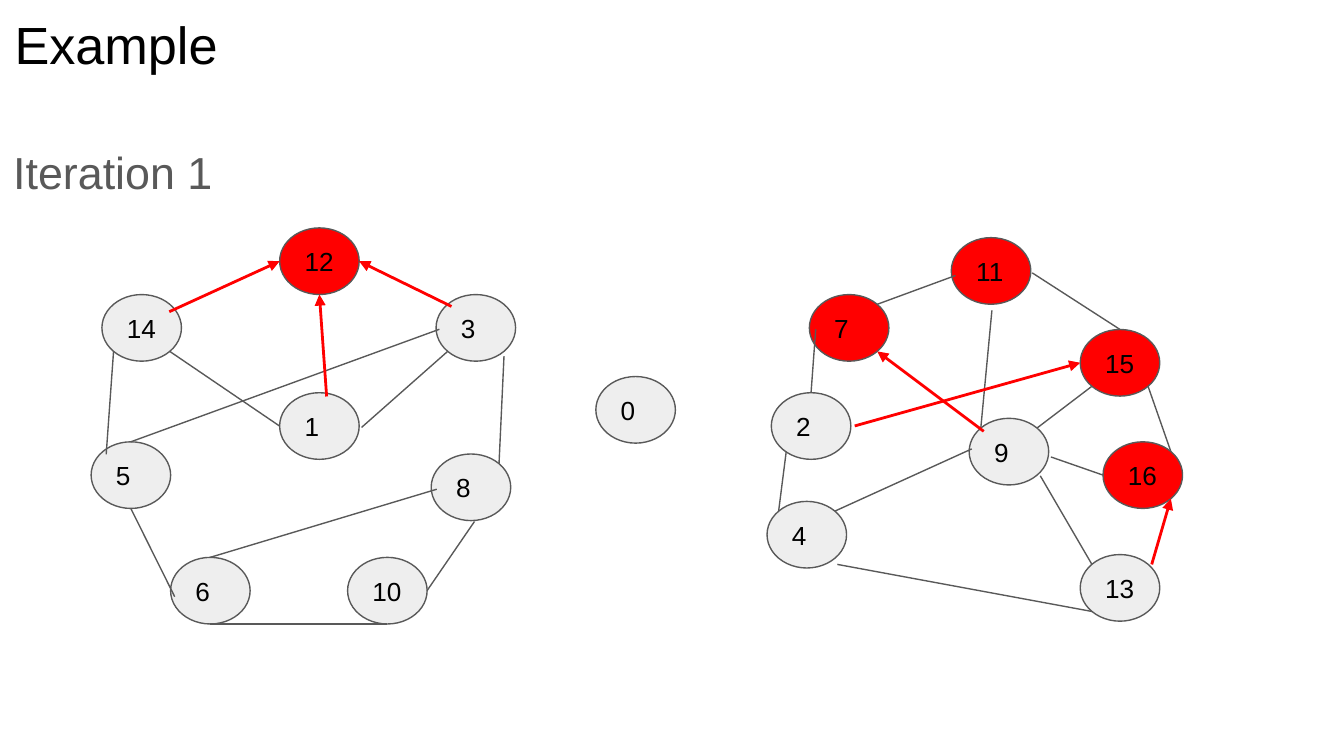
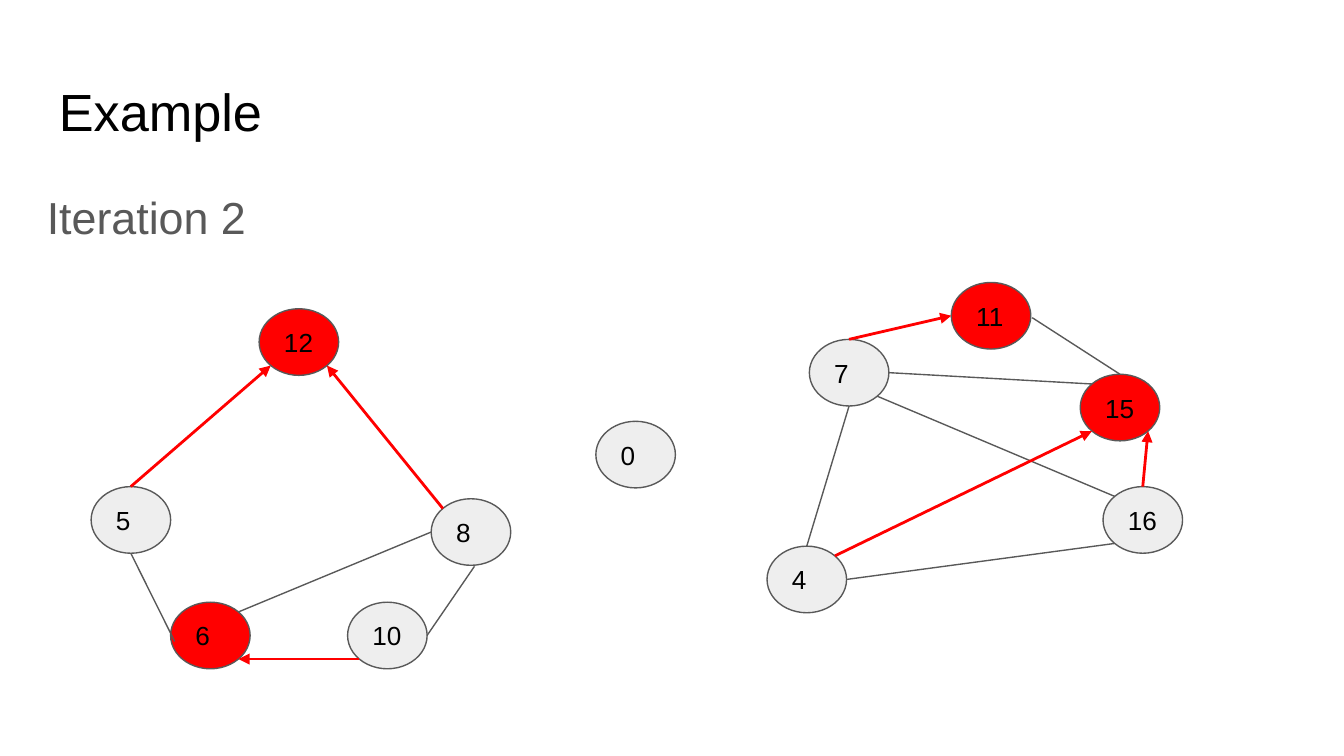
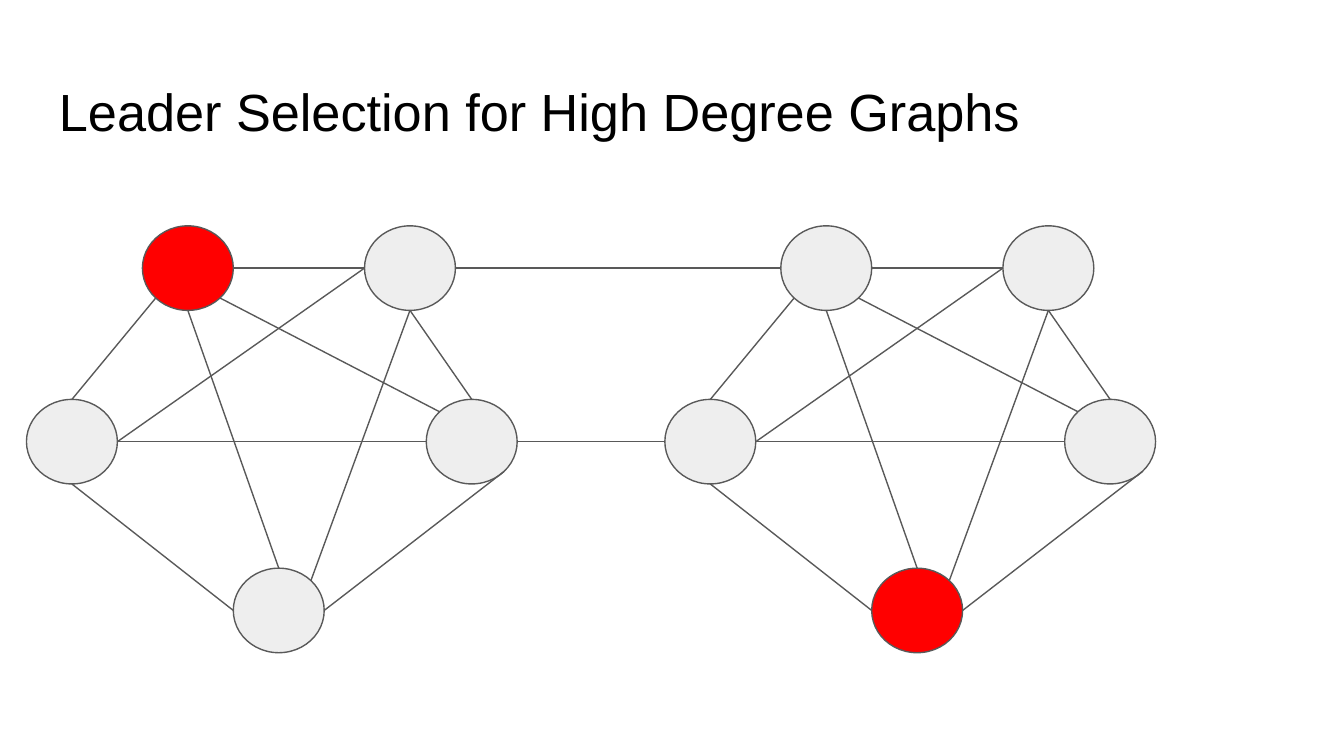
import pptx
import pptx.util
import pptx.dml.color
import pptx.enum.shapes
import pptx.enum.text
import lxml.etree
import pptx.oxml.ns

Pt = pptx.util.Pt
Color = pptx.dml.color.RGBColor
BLACK = Color(0x00, 0x00, 0x00)
GREY = Color(0x59, 0x59, 0x59)
PALE = Color(0xEE, 0xEE, 0xEE)
RED = Color(0xFF, 0x00, 0x00)

# Unit directions of the eight joints of an ellipse
DIAG = 0.5 ** 0.5
JOINTS = {"n": (0, -1), "e": (1, 0), "s": (0, 1), "w": (-1, 0),
          "nw": (-DIAG, -DIAG), "ne": (DIAG, -DIAG),
          "sw": (-DIAG, DIAG), "se": (DIAG, DIAG)}

# Left and top of the numbered nodes
SPOTS = {
    "12": (149.8, 122.1), "14": (54.6, 157.8), "3": (233.6, 157.8),
    "1": (149.8, 210.4), "8": (231, 243.2), "5": (48.8, 236.7),
    "6": (91.4, 298.6), "10": (186.2, 298.6), "0": (319.2, 201.7),
    "11": (509.6, 127.3), "7": (433.6, 157.8), "15": (578.7, 176.5),
    "2": (413.2, 210.4), "4": (410.9, 268.6), "16": (590.9, 236.7),
    "9": (519.2, 224.1), "13": (578.7, 297.1),
}

# An edge end is a "node joint" pair or a free point
KEPT = [((254.2, 279.4), "10 e"), ((93.6, 319.7), "5 s"),
        ((553, 146.2), "15 n")]
FIRST = KEPT + [
    ((270, 190.8), "8 ne"), ("10 s", "6 s"), ((56.9, 243.4), "14 sw"),
    ("14 se", "1 w"), ((193.7, 229), "3 sw"), ((235.4, 176.4), "5 n"),
    ((234, 262.1), "6 n"), ((511.9, 147.6), "7 ne"), ("15 se", "16 ne"),
    ((421.2, 241.9), "4 nw"), ((437, 176.4), "2 n"), ((520.6, 240.5), "4 ne"),
    ((557.3, 254.9), "13 nw"), ((448.6, 302.4), "13 sw"),
    ((563, 244.8), "16 w"), ((531.4, 166.3), "9 nw"), ("15 sw", "9 ne"),
]
FIRST_RED = [
    ((90.7, 167), "12 w"), ((241.9, 164.2), "12 e"), ((617, 302.4), "16 se"),
    ((457.9, 228.2), "15 w"), ((175, 212.4), "12 s"), ((527, 231.1), "7 se"),
]
NEXT = KEPT + [("7 se", "16 nw"), ("4 n", "7 s"), ("4 e", "16 sw"),
               ("7 e", "15 nw"), ("8 w", "6 ne")]
NEXT_RED = [("5 n", "12 sw"), ("8 nw", "12 se"), ("10 sw", "6 se"),
            ("7 n", "11 w"), ("4 ne", "15 sw"), ("16 n", "15 se")]

# One five-node cluster of the last slide
RING = {"a": (76.3, 121), "b": (195.3, 121), "c": (14.2, 214),
        "d": (125, 304.4), "e": (228.4, 214)}
CHORDS = [("a sw", "c n"), ("c s", "d w"), ("d e", "e se"), ("e n", "b s"),
          ("b w", "a e"), ("d n", "a s"), ("d ne", "b s"), ("e w", "c e"),
          ("e nw", "a se"), ("b w", "c e")]


class Deck:
    """Holds the style, the current slide and its nodes."""

    def __init__(self):
        """Open an empty 16:9 deck."""
        self.prs = pptx.Presentation()
        self.prs.slide_width, self.prs.slide_height = Pt(720), Pt(405)

    def start(self, title, left=24.5, top=35, size=(42.6, 35.7), drop=0):
        """Add a titled slide; drop moves its graph down."""
        self.slide = self.prs.slides.add_slide(self.prs.slide_layouts[6])
        self.nodes, self.size, self.drop = {}, size, drop
        self.text(title, left, top, 671, 45, 28, BLACK)

    def style(self, frame, size, color):
        """Set insets and font of a text frame."""
        frame.word_wrap = True
        frame.margin_left = frame.margin_right = Pt(7.2)
        frame.margin_top = frame.margin_bottom = Pt(7.2)
        para = frame.paragraphs[0]
        para.alignment = pptx.enum.text.PP_ALIGN.LEFT
        for run in para.runs:
            run.font.name, run.font.size = "Arial", Pt(size)
            run.font.color.rgb = color
        return para

    def text(self, words, left, top, width, height, size, color):
        """Add a text box and return its paragraph."""
        box = self.slide.shapes.add_textbox(Pt(left), Pt(top), Pt(width), Pt(height))
        box.text_frame.text = words
        return self.style(box.text_frame, size, color)

    def label(self, words, left, top):
        """Add the grey iteration heading."""
        para = self.text(words, left, top, 165.6, 51, 24, GREY)
        para.line_spacing, para.space_after = 1.15, Pt(16)

    def node(self, name, left, top, hot, words=""):
        """Add an ellipse, red when hot, and remember its place."""
        width, height = self.size
        top += self.drop
        self.nodes[name] = (left, top)
        shape = self.slide.shapes.add_shape(
            pptx.enum.shapes.MSO_SHAPE.OVAL, Pt(left), Pt(top), Pt(width), Pt(height))
        shape.shadow.inherit = False
        shape.fill.solid()
        shape.fill.fore_color.rgb = RED if hot else PALE
        shape.line.color.rgb, shape.line.width = GREY, Pt(0.75)
        if words:
            shape.text_frame.text = words
            shape.text_frame.vertical_anchor = pptx.enum.text.MSO_ANCHOR.MIDDLE
            self.style(shape.text_frame, 14, BLACK)

    def point(self, end):
        """Turn an edge end into x and y."""
        if isinstance(end, tuple):
            return end[0], end[1] + self.drop
        name, joint = end.split()
        left, top = self.nodes[name]
        across, down = JOINTS[joint]
        width, height = self.size
        return left + width / 2 * (1 + across), top + height / 2 * (1 + down)

    def edge(self, start, end, arrow=False):
        """Add a thin grey line or a red arrow."""
        ends = [Pt(n) for n in self.point(start) + self.point(end)]
        line = self.slide.shapes.add_connector(
            pptx.enum.shapes.MSO_CONNECTOR.STRAIGHT, *ends)
        line.line.color.rgb = RED if arrow else GREY
        line.line.width = Pt(1.5 if arrow else 0.75)
        qn = pptx.oxml.ns.qn
        props = line._element.spPr
        if arrow:
            lxml.etree.SubElement(props.find(qn("a:ln")), qn("a:tailEnd"),
                                  type="triangle")
        lxml.etree.SubElement(props, qn("a:effectLst"))

    def graph(self, spots, hot, edges, arrows):
        """Draw numbered nodes, then lines, then arrows."""
        for name, (left, top) in spots.items():
            self.node(name, left, top, name in hot, name)
        for pair in edges:
            self.edge(*pair)
        for pair in arrows:
            self.edge(*pair, arrow=True)

    def ring(self, tag, shift, hot):
        """Draw one cluster, its node names ending in tag."""
        for name, (left, top) in RING.items():
            self.node(name + tag, left + shift, top, name == hot)
        for pair in CHORDS:
            self.edge(*(end.replace(" ", tag + " ") for end in pair))


deck = Deck()

deck.start("Example", 0.7, -0.7)
deck.graph(SPOTS, {"12", "11", "7", "15", "16"}, FIRST, FIRST_RED)
deck.label("Iteration 1", 0, 66.2)

deck.start("Example", drop=24)
left = {name: SPOTS[name] for name in ("8", "5", "6", "10", "0", "11", "7", "15", "4", "16")}
left["12"] = (138.8, 141.4)
deck.graph(left, {"12", "6", "11", "15"}, NEXT, NEXT_RED)
deck.label("Iteration 2", 18, 90.2)

deck.start("Leader Selection for High Degree Graphs", size=(48.7, 45.3))
deck.ring("1", 0, "a")
deck.ring("2", 342, "d")
deck.edge("b1 e", "a2 w")
deck.edge("e1 e", "c2 w")

deck.prs.save("out.pptx")
